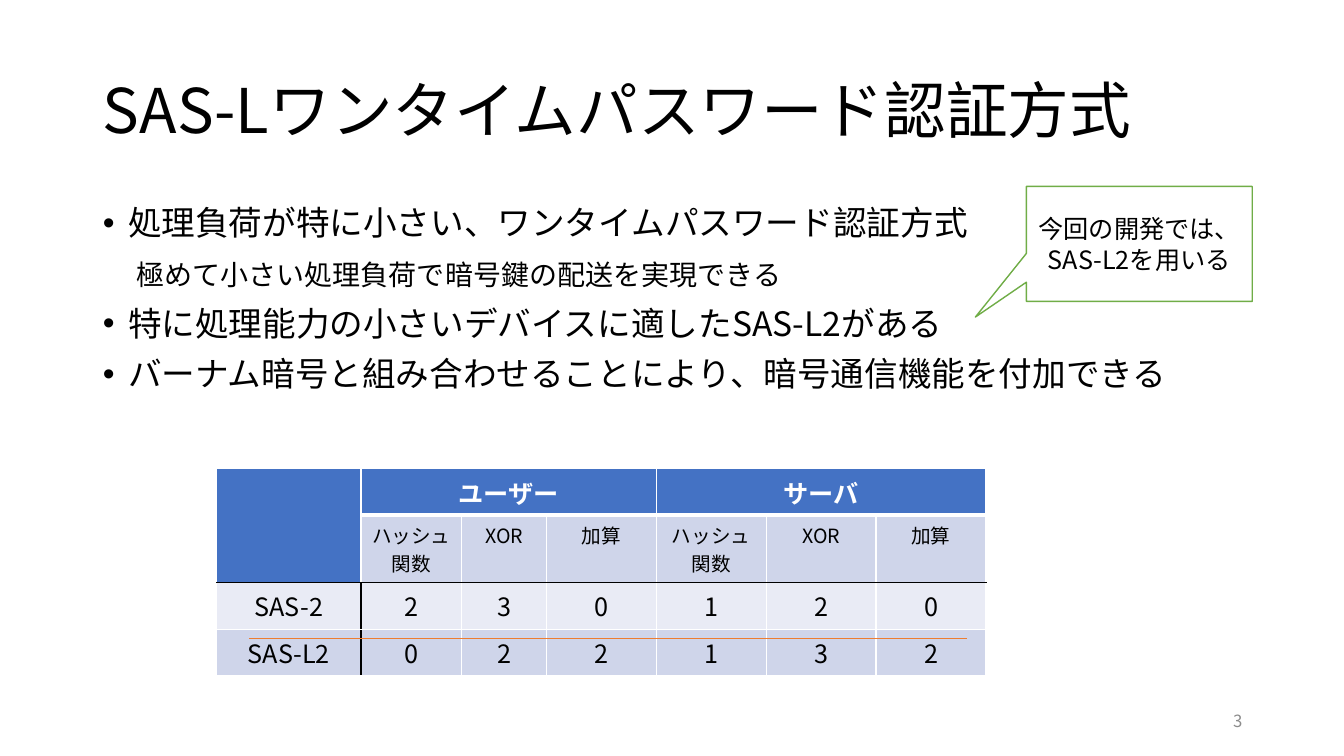
from lxml.etree import SubElement
from pptx import Presentation
from pptx.dml.color import RGBColor
from pptx.enum.shapes import MSO_CONNECTOR as Connector, MSO_SHAPE as Shape
from pptx.enum.text import MSO_ANCHOR as Anchor, MSO_AUTO_SIZE as AutoSize, PP_ALIGN as Align
from pptx.oxml.ns import qn
from pptx.util import Inches, Pt

FONT = "Noto Sans CJK JP"
BLACK = RGBColor(0x00, 0x00, 0x00)
WHITE = RGBColor(0xFF, 0xFF, 0xFF)
GRAY = RGBColor(0x8C, 0x8C, 0x8C)
BLUE = RGBColor(0x44, 0x72, 0xC4)
PALE = RGBColor(0xE9, 0xEB, 0xF5)
PALE_BLUE = RGBColor(0xCF, 0xD5, 0xEA)
GREEN = RGBColor(0x70, 0xAD, 0x47)
ORANGE = RGBColor(0xED, 0x7D, 0x31)

POINTS = [
    (["処理負荷が特に小さい、ワンタイムパスワード認証方式"], True),
    (["　", "極めて小さい処理負荷で暗号鍵の配送を実現できる"], False),
    (["特に処理能力の小さいデバイスに適したSAS-L2がある"], True),
    (["バーナム暗号と組み合わせることにより、暗号通信機能を付加できる"], True),
]
OPERATIONS = ["ハッシュ関数", "XOR", "加算"]
COSTS = [
    ["", "ユーザー", "", "", "サーバ", "", ""],
    ["", *OPERATIONS, *OPERATIONS],
    ["SAS-2", "2", "3", "0", "1", "2", "0"],
    ["SAS-L2", "0", "2", "2", "1", "3", "2"],
]
ROW_STYLES = [(BLUE, 18, WHITE), (PALE_BLUE, 14, BLACK), (PALE, 18, BLACK), (PALE_BLUE, 18, BLACK)]
COLUMN_WIDTHS = [1.43, 1, 0.84, 1.09, 1.09, 1.09, 1.09]
SIDES = {"L": "a:lnL", "R": "a:lnR", "T": "a:lnT", "B": "a:lnB"}


def place(shape, left, top, width, height):
    shape.left, shape.top = Inches(left), Inches(top)
    shape.width, shape.height = Inches(width), Inches(height)


def style(paragraph, size, color=BLACK, align=Align.LEFT, bold=False):
    font = paragraph.font
    font.name, font.size, font.bold = FONT, Pt(size), bold
    font.color.rgb = color
    paragraph.alignment = align
    defaults = paragraph._p.pPr.find(qn("a:defRPr"))
    SubElement(defaults, qn("a:ea")).set("typeface", FONT)


def add_title(slide):
    title = slide.shapes.title
    place(title, 0.92, 0.4, 11.5, 1.45)
    frame = title.text_frame
    frame.text = "SAS-Lワンタイムパスワード認証方式"
    frame.auto_size = AutoSize.NONE
    frame.vertical_anchor = Anchor.MIDDLE
    frame.paragraphs[0].line_spacing = 0.9
    style(frame.paragraphs[0], 44)


def add_points(slide):
    body = slide.placeholders[1]
    place(body, 0.92, 2, 11.5, 4.76)
    frame = body.text_frame
    frame.auto_size = AutoSize.NONE
    frame.vertical_anchor = Anchor.TOP
    for index, (texts, bulleted) in enumerate(POINTS):
        point = frame.add_paragraph() if index else frame.paragraphs[0]
        for text in texts:
            point.add_run().text = text
        point.line_spacing = 0.9
        point.space_before = Pt(10)
        style(point, 24)
        indent = Inches(0.25) if bulleted else 0
        properties = point._p.pPr
        properties.set("marL", str(indent))
        properties.set("indent", str(-indent))
        if not bulleted:
            no_bullet = SubElement(properties, qn("a:buNone"))
            properties.find(qn("a:defRPr")).addprevious(no_bullet)
            point.runs[-1].font.size = Pt(20)


def set_borders(cell, row, column):
    lines = {side: (WHITE, 1) for side in SIDES}
    if row == 0 and column:
        lines["B"] = (WHITE, 3)
    if row == 1:
        lines["T"] = (WHITE, 3)
    if row == 1 or (row, column) == (0, 0):
        lines["B"] = (BLACK, 1)
    if row == 2:
        lines["T"] = (BLACK, 1)
    if row >= 2 and column < 2:
        lines["L" if column else "R"] = (BLACK, 1)
    properties = cell._tc.get_or_add_tcPr()
    for side, (color, width) in lines.items():
        border = SubElement(properties, qn(SIDES[side]), w=str(Pt(width)))
        fill = SubElement(border, qn("a:solidFill"))
        SubElement(fill, qn("a:srgbClr"), val=str(color))


def add_cost_table(slide):
    table = slide.shapes.add_table(
        len(COSTS), len(COLUMN_WIDTHS), Inches(2.15), Inches(4.65), Inches(7.62), Inches(1.64)
    ).table
    for column, width in zip(table.columns, COLUMN_WIDTHS):
        column.width = Inches(width)
    for row, (texts, (fill, size, color)) in enumerate(zip(COSTS, ROW_STYLES)):
        table.rows[row].height = Inches(0.41)
        for column, text in enumerate(texts):
            cell = table.cell(row, column)
            set_borders(cell, row, column)
            cell.fill.solid()
            cell.fill.fore_color.rgb = fill
            if text:
                cell.text = text
                style(cell.text_frame.paragraphs[0], size, color, Align.CENTER, row == 0)
    for first, last in [((0, 0), (1, 0)), ((0, 1), (0, 3)), ((0, 4), (0, 6))]:
        table.cell(*first).merge(table.cell(*last))


def add_callout(slide):
    callout = slide.shapes.add_shape(
        Shape.RECTANGULAR_CALLOUT, Inches(10.18), Inches(1.85), Inches(2.24), Inches(1.14)
    )
    callout.adjustments[0], callout.adjustments[1] = -0.726, 0.637
    callout.shadow.inherit = False
    callout.fill.solid()
    callout.fill.fore_color.rgb = WHITE
    callout.line.color.rgb = GREEN
    callout.line.width = Pt(1)
    frame = callout.text_frame
    frame.text = "今回の開発では、\nSAS-L2を用いる"
    frame.vertical_anchor = Anchor.MIDDLE
    for paragraph in frame.paragraphs:
        style(paragraph, 18, align=Align.CENTER)


def add_page_number(slide):
    frame = slide.shapes.add_textbox(Inches(9.42), Inches(6.95), Inches(3), Inches(0.4)).text_frame
    frame.word_wrap = True
    frame.vertical_anchor = Anchor.MIDDLE
    frame.text = "3"
    style(frame.paragraphs[0], 12, GRAY, Align.RIGHT)


def add_rule(slide):
    rule = slide.shapes.add_connector(
        Connector.STRAIGHT, Inches(2.47), Inches(6.33), Inches(9.59), Inches(6.33)
    )
    rule.line.color.rgb = ORANGE
    rule.line.width = Pt(0.5)
    SubElement(rule._element.spPr, qn("a:effectLst"))


def main():
    deck = Presentation()
    deck.slide_width, deck.slide_height = Inches(13.33), Inches(7.5)
    slide = deck.slides.add_slide(deck.slide_layouts[1])
    add_title(slide)
    add_points(slide)
    add_cost_table(slide)
    add_callout(slide)
    add_page_number(slide)
    add_rule(slide)
    deck.save("out.pptx")


if __name__ == "__main__":
    main()
